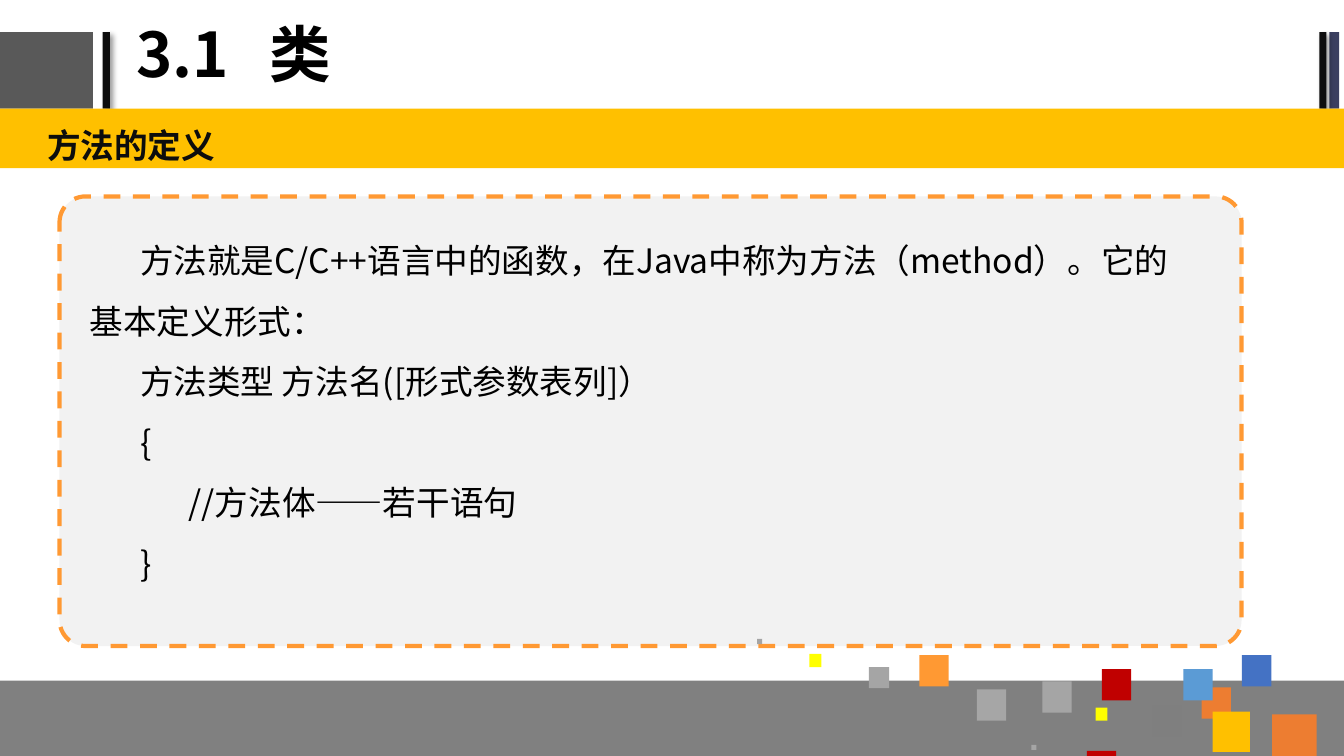
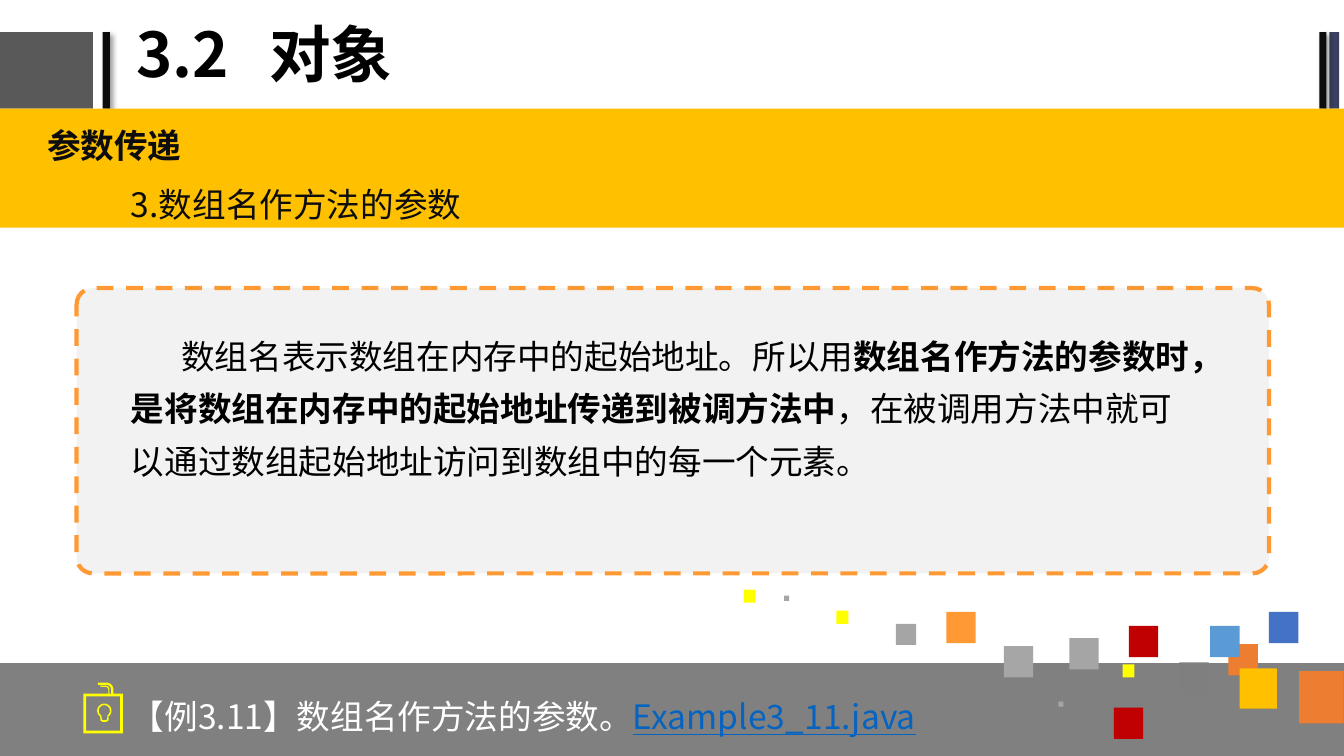
"""Build two lecture slides on Java methods and parameter passing."""
from dataclasses import dataclass
from math import cos, radians, sin

from lxml import etree
from pptx import Presentation
from pptx import util as u
from pptx.dml.color import RGBColor
from pptx.enum import dml, shapes, text
from pptx.oxml import ns

Cm = u.Cm


@dataclass(frozen=True)
class Theme:
    """Colours, type and slide size shared by both slides."""
    font: str = "Noto Sans CJK SC"
    title_size: int = 44
    body_size: int = 24
    width: float = 33.87
    height: float = 19.05
    black: str = "000000"
    ink: str = "0D0D0D"
    white: str = "FFFFFF"
    link: str = "0563C1"
    slate: str = "595959"
    navy: str = "3B3F60"
    gold: str = "FFC000"
    footer: str = "808080"
    panel: str = "F2F2F2"
    dash: str = "FF9933"
    yellow: str = "FFFF00"
    orange: str = "ED7D31"
    sky: str = "5B9BD5"
    blue: str = "4472C4"
    red: str = "C00000"
    grey: str = "A5A5A5"
    light_grey: str = "A6A6A6"
    dark_grey: str = "7F7F7F"


THEME = Theme()
MARKS = [
    ((-0.05, 2.39), THEME.slate, False),
    ((2.59, 0.18), THEME.ink, True),
    ((33.5, 0.25), THEME.navy, False),
    ((33.25, 0.18), THEME.ink, True),
]
DOT, SMALL, MEDIUM = (0.13, 0.13), (0.3, 0.33), (0.74, 0.79)
CONFETTI = [
    (12.98, 1.9, (1.12, 1.32), THEME.orange),
    (11.2, 1.22, MEDIUM, THEME.orange),
    (11.48, 1.83, (0.94, 1.02), THEME.gold),
    (10.74, 0.76, MEDIUM, THEME.sky),
    (6.91, 2.67, DOT, THEME.grey),
    (12.22, 0.41, MEDIUM, THEME.blue),
    (8.53, 1.73, SMALL, THEME.yellow),
    (7.19, 1.07, MEDIUM, THEME.grey),
    (8.69, 0.76, MEDIUM, THEME.red),
    (9.96, 1.68, MEDIUM, THEME.dark_grey),
    (8.31, 2.82, MEDIUM, THEME.red),
    (0, 0, DOT, THEME.grey),
    (1.32, 0.38, SMALL, THEME.yellow),
    (2.82, 0.71, (0.51, 0.53), THEME.grey),
    (4.09, 0.41, MEDIUM, THEME.dash),
    (5.54, 1.27, MEDIUM, THEME.light_grey),
]


def paint(shape, colour):
    """Give a shape a flat fill with no line or shadow."""
    shape.shadow.inherit = False
    shape.fill.solid()
    shape.fill.fore_color.rgb = RGBColor.from_string(colour)
    shape.line.fill.background()
    return shape


def add_block(parent, box, colour, preset=shapes.MSO_SHAPE.RECTANGLE):
    """Add a flat preset shape in a box of centimetres."""
    return paint(parent.shapes.add_shape(preset, *map(Cm, box)), colour)


def add_span(para, wording, colour, size=THEME.body_size, bold=False, underline=False):
    """Add one formatted run to a paragraph."""
    span = para.add_run()
    span.text = wording
    span.font.size = u.Pt(size)
    span.font.bold = bold
    span.font.underline = underline
    span.font.color.rgb = RGBColor.from_string(colour)
    span.font.name = THEME.font
    etree.SubElement(span.font._element, ns.qn("a:ea"), typeface=THEME.font)


def set_frame(frame):
    """Apply the common text insets, wrapping and top anchor."""
    frame.word_wrap = True
    frame.auto_size = text.MSO_AUTO_SIZE.NONE
    frame.vertical_anchor = text.MSO_ANCHOR.TOP
    frame.margin_left = frame.margin_right = Cm(0.33)
    frame.margin_top = frame.margin_bottom = Cm(0.18)


def add_line_of_text(page, box, spans):
    """Add a one-paragraph text box from (wording, format) pairs."""
    frame = page.shapes.add_textbox(*map(Cm, box)).text_frame
    set_frame(frame)
    para = frame.paragraphs[0]
    para.line_spacing = 1.2
    for wording, style in spans:
        add_span(para, wording, **style)


def add_shadow(shape):
    """Give a shape a soft shadow to its lower right."""
    effects = shape.element.spPr.find(ns.qn("a:effectLst"))
    shadow = etree.SubElement(
        effects, ns.qn("a:outerShdw"), blurRad=str(u.Pt(4)), dist=str(u.Pt(3)),
        dir="2700000", algn="tl", rotWithShape="0")
    colour = etree.SubElement(shadow, ns.qn("a:srgbClr"), val=THEME.black)
    etree.SubElement(colour, ns.qn("a:alpha"), val="40000")


def dress_layout(layout, page):
    """Place the title box and the header marks on the shared layout."""
    title = layout.placeholders[0]
    title.left, title.top, title.width, title.height = map(Cm, (3.18, 0.05, 21.51, 2.79))
    for number, ((left, width), colour, shaded) in enumerate(MARKS, 20):
        mark = add_block(page, (left, 0.81, width, 1.93), colour)
        if shaded:
            add_shadow(mark)
        mark.element.nvSpPr.cNvPr.set("id", str(number))
        layout.shapes.element.append(mark.element)


def fill_title(page, number, name):
    """Write the section number and name, parted by a tab stop."""
    frame = page.shapes.title.text_frame
    frame.auto_size = text.MSO_AUTO_SIZE.NONE
    frame.vertical_anchor = text.MSO_ANCHOR.MIDDLE
    para = frame.paragraphs[0]
    stops = etree.SubElement(para._p.get_or_add_pPr(), ns.qn("a:tabLst"))
    etree.SubElement(stops, ns.qn("a:tab"), pos=str(Cm(3.35)), algn="l")
    para.alignment = text.PP_ALIGN.LEFT
    para.line_spacing = 0.9
    add_span(para, f"{number}\t{name}", THEME.black, THEME.title_size, bold=True)


def add_band(page, row, indent, heading, bold):
    """Add one gold heading band, counted down from the header."""
    top, height = 2.74 + row * 1.5, 1.5
    add_block(page, (0, top, THEME.width, height), THEME.gold)
    box = (indent, top + 0.02, THEME.width - indent, height)
    add_line_of_text(page, box, [(heading, {"colour": THEME.ink, "bold": bold})])


def add_panel(page, box, inset, paragraphs, spacing):
    """Draw the dashed panel and lay the body placeholder over it."""
    panel = add_block(page, box, THEME.panel, shapes.MSO_SHAPE.ROUNDED_RECTANGLE)
    panel.adjustments[0] = 0.058
    panel.line.color.rgb = RGBColor.from_string(THEME.dash)
    panel.line.width = u.Pt(3)
    panel.line.dash_style = dml.MSO_LINE.DASH

    left, top, width, height = box
    dx, dy, text_width, text_height = inset
    body = page.placeholders[1]
    body.left, body.top = Cm(left + dx), Cm(top + dy)
    body.width, body.height = Cm(text_width), Cm(text_height)
    page.shapes.element.append(body.element)
    frame = body.text_frame
    set_frame(frame)
    for index, (indent, spans) in enumerate(paragraphs):
        para = frame.add_paragraph() if index else frame.paragraphs[0]
        props = para._p.get_or_add_pPr()
        props.set("marL", "0")
        props.set("indent", str(Cm(indent)))
        etree.SubElement(props, ns.qn("a:buNone"))
        para.alignment = text.PP_ALIGN.LEFT
        para.line_spacing = spacing
        para.space_before = u.Pt(0)
        for wording, bold in spans:
            add_span(para, wording, THEME.black, bold=bold)


def add_footer(page, top):
    """Add the grey strip from the given height to the slide bottom."""
    add_block(page, (0, top, THEME.width, THEME.height - top), THEME.footer)


def add_confetti(page, left, top, squares):
    """Scatter a group of coloured squares from an origin."""
    group = page.shapes.add_group_shape()
    for dx, dy, size, colour in squares:
        add_block(group, (left + dx, top + dy, *size), colour)


def arc(centre, radii, start, end, steps=8):
    """List points along an elliptical arc, in degrees."""
    angles = [radians(start + (end - start) * i / steps) for i in range(steps + 1)]
    return [(centre[0] + radii[0] * cos(a), centre[1] + radii[1] * sin(a)) for a in angles]


def frame_outline(inset):
    """List the corners of the square case."""
    near, far, top, bottom = inset, 100 - inset, 28 + inset, 128 - inset
    return [(near, top), (far, top), (far, bottom), (near, bottom)]


def hook_outline(start, bend, outer, thick):
    """List the outline of a bent strip that ends on the case."""
    radius = outer - bend
    top = 18 - radius
    centre = (bend, 18)
    inner = radius - thick
    return ([(start, top)] + arc(centre, (radius, radius), -90, 0)
            + [(outer, 28), (outer - thick, 28)]
            + arc(centre, (inner, inner), 0, -90) + [(start, top + thick)])


def bulb_outline(inset):
    """List the outline of the light bulb."""
    radius, base = 18 - inset, 99 - inset
    return arc((53, 71), (radius, radius), 125, 415, 24) + [
        (64 - inset, base - 4), (58, base), (48, base), (43 + inset, base - 4)]


def add_icon(page, left, top):
    """Draw the yellow case with a bulb as one outline."""
    contours = [frame_outline(0), frame_outline(7), hook_outline(37, 58, 76, 6),
                hook_outline(43, 56, 66, 3), bulb_outline(0), bulb_outline(4)]
    contours = [[(x * 10, y * 10) for x, y in points] for points in contours]
    pen = page.shapes.build_freeform(*contours[0][0], scale=float(Cm(0.001)))
    for index, points in enumerate(contours):
        if index:
            pen.move_to(*points[0])
        pen.add_line_segments(points[1:], close=True)
    paint(pen.convert_to_shape(Cm(left), Cm(top)), THEME.yellow)


def fill_method_page(page):
    """Lay out the slide on defining a method."""
    fill_title(page, "3.1", "类")
    add_footer(page, 17.15)
    add_band(page, 0, 0.86, "方法的定义", True)
    lines = [
        (1.27, "方法就是C/C++语言中的函数，在Java中称为方法（method）。它的基本定义形式："),
        (1.27, "方法类型 方法名([形式参数表列]）"),
        (1.27, "{"),
        (2.49, "//方法体——若干语句"),
        (1.27, "}"),
    ]
    paragraphs = [(indent, [(wording, False)]) for indent, wording in lines]
    add_panel(page, (1.5, 4.95, 29.79, 11.33), (0.43, 0.41, 28.37, 10.87), paragraphs, 1.5)
    add_confetti(page, 19.08, 16.1, CONFETTI)


def fill_parameter_page(page):
    """Lay out the slide on passing array names."""
    fill_title(page, "3.2", "对象")
    add_band(page, 0, 0.86, "参数传递", True)
    spans = [
        ("数组名表示数组在内存中的起始地址。所以用", False),
        ("数组名作方法的参数时，是将数组在内存中的起始地址传递到被调方法中", True),
        ("，在被调用方法中就可以通过数组起始地址访问到数组中的每一个元素。", False),
    ]
    add_panel(page, (1.93, 7.26, 30.05, 7.19), (1.04, 0.72, 27.71, 6.63), [(1.27, spans)], 1.3)
    add_band(page, 1, 2.97, "3.数组名作方法的参数", False)
    add_footer(page, 16.71)
    add_icon(page, 2.1, 17.2)
    add_line_of_text(page, (2.97, 17.15, 25.88, 1.9), [
        ("【例3.11】数组名作方法的参数。", {"colour": THEME.white}),
        ("Example3_11.java", {"colour": THEME.link, "underline": True}),
    ])
    add_confetti(page, 19.76, 15.01, CONFETTI + [(-1.02, -0.15, SMALL, THEME.yellow)])


def main():
    """Create and save the deck."""
    deck = Presentation()
    deck.slide_width, deck.slide_height = Cm(THEME.width), Cm(THEME.height)
    layout = deck.slide_layouts[1]
    first, second = (deck.slides.add_slide(layout) for _ in range(2))
    dress_layout(layout, first)
    fill_method_page(first)
    fill_parameter_page(second)
    deck.save("out.pptx")


if __name__ == "__main__":
    main()
